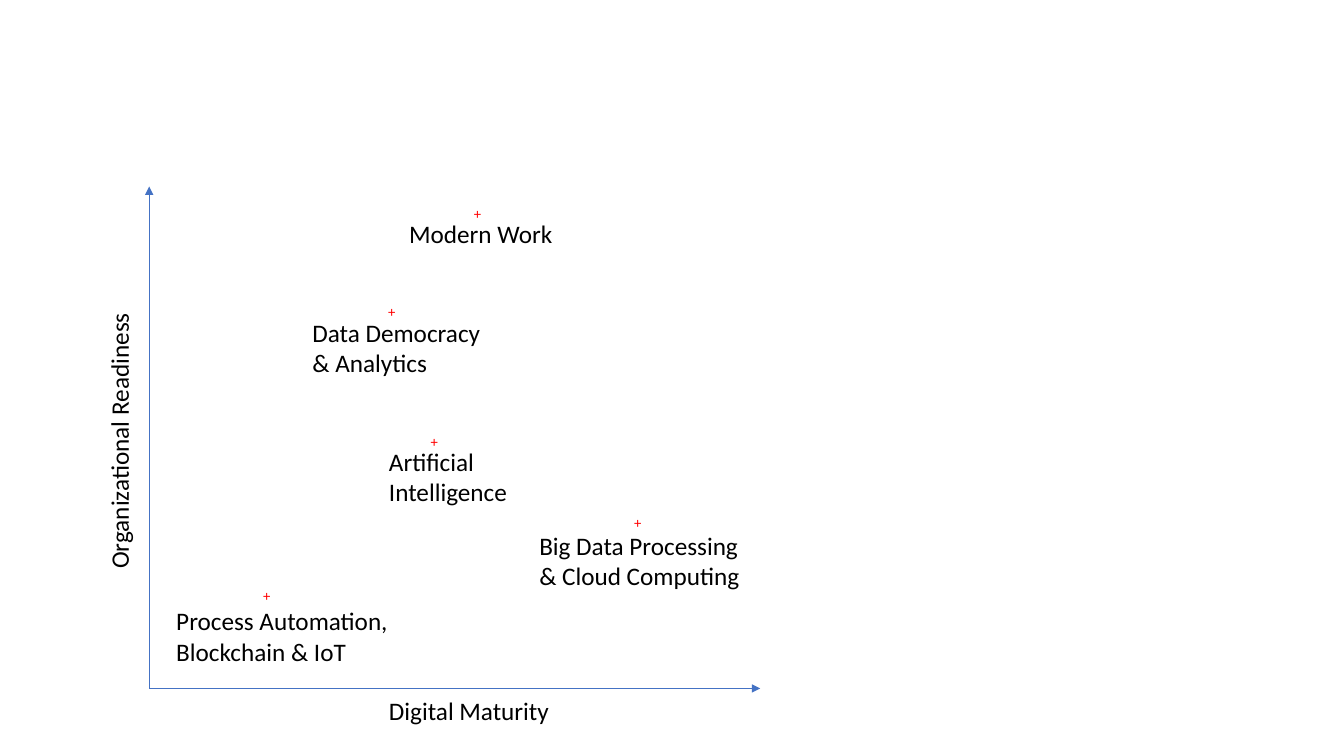
from dataclasses import dataclass

from lxml.etree import SubElement
from pptx import Presentation
from pptx.dml.color import RGBColor
from pptx.enum.shapes import MSO_CONNECTOR
from pptx.oxml.ns import qn
from pptx.slide import Slide
from pptx.util import Inches, Pt

BLACK = "000000"
RED = "FF0000"
BLUE = "4472C4"
FONT = "Calibri"
ORIGIN = (1.48, 6.83)


@dataclass
class Label:
    text: str
    left: float
    top: float
    width: float
    height: float = 0.71
    size: float = 18
    color: str = BLACK
    inset: float = 0.1
    turned: bool = False


@dataclass
class Topic:
    label: Label
    mark_x: float
    mark_y: float


TIPS = [(7.54, 6.83), (1.48, 1.85)]

TITLES = [
    Label("Digital Maturity", 3.76, 6.85, 1.87, 0.4),
    Label("Organizational Readiness", 0.98, 2.19, 0.5, 3.55, turned=True),
]

TOPICS = [
    Topic(Label("Modern Work", 3.96, 2.12, 1.67, 0.4), 4.7, 1.98),
    Topic(Label("Artificial Intelligence", 3.76, 4.38, 1.86), 4.27, 4.24),
    Topic(Label("Big Data Processing & Cloud Computing", 5.25, 5.21, 2.29), 6.29, 5.05),
    Topic(Label("Process Automation, Blockchain & IoT", 1.65, 5.96, 2.4), 2.61, 5.77),
    Topic(Label("Data Democracy & Analytics", 3, 3.1, 1.92), 3.85, 2.96),
]


def rgb(color: str) -> RGBColor:
    return RGBColor.from_string(color)


def draw_axis(slide: Slide, tip: tuple[float, float]) -> None:
    ends = [Inches(value) for value in (*ORIGIN, *tip)]
    axis = slide.shapes.add_connector(MSO_CONNECTOR.STRAIGHT, *ends)
    axis.line.color.rgb = rgb(BLUE)
    axis.line.width = Pt(0.5)
    SubElement(axis.line._get_or_add_ln(), qn("a:tailEnd"), type="triangle")
    SubElement(axis._element.spPr, qn("a:effectLst"))


def draw_label(slide: Slide, label: Label) -> None:
    place = (label.left, label.top, label.width, label.height)
    box = slide.shapes.add_textbox(*[Inches(value) for value in place])
    frame = box.text_frame
    frame.word_wrap = True
    frame.margin_left = frame.margin_right = Inches(label.inset)
    if label.turned:
        frame._txBody.bodyPr.set("vert", "vert270")
    line = frame.paragraphs[0]
    line.text = label.text
    line.font.name = FONT
    line.font.size = Pt(label.size)
    line.font.color.rgb = rgb(label.color)


def draw_topic(slide: Slide, topic: Topic) -> None:
    draw_label(slide, topic.label)
    mark = Label("+", topic.mark_x, topic.mark_y, 0.11, 0.29, 10.5, RED, 0)
    draw_label(slide, mark)


def main() -> None:
    deck = Presentation()
    deck.slide_width = Inches(13.33)
    deck.slide_height = Inches(7.5)
    slide = deck.slides.add_slide(deck.slide_layouts[6])
    for tip in TIPS:
        draw_axis(slide, tip)
    for title in TITLES:
        draw_label(slide, title)
    for topic in TOPICS:
        draw_topic(slide, topic)
    deck.save("out.pptx")


if __name__ == "__main__":
    main()
